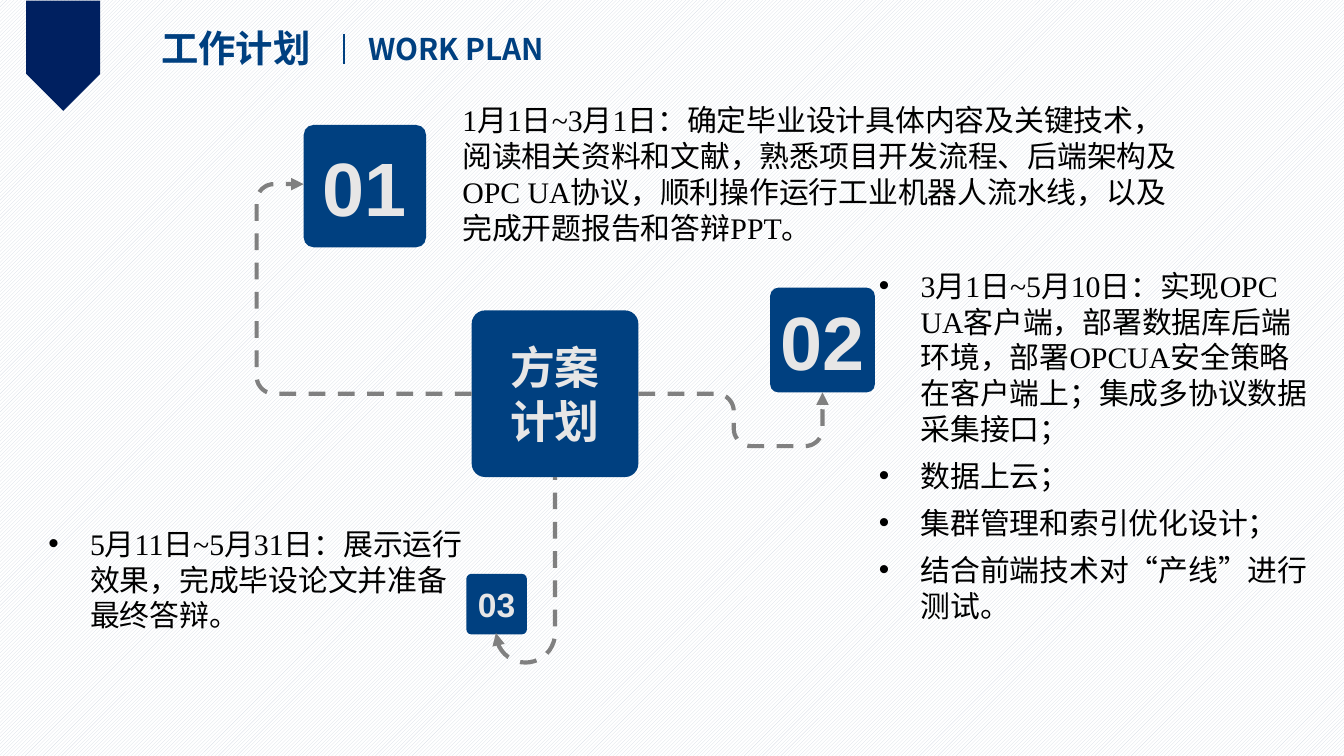
from math import cos, pi, sin
from lxml import etree
from pptx import Presentation
from pptx.dml.color import RGBColor
from pptx.enum.dml import MSO_LINE, MSO_PATTERN
from pptx.enum.shapes import MSO_CONNECTOR, MSO_SHAPE
from pptx.enum.text import MSO_ANCHOR, PP_ALIGN
from pptx.oxml.ns import qn
from pptx.util import Inches, Pt

DASH, HATCH = MSO_LINE.DASH, MSO_PATTERN.LIGHT_UPWARD_DIAGONAL
LINE = MSO_CONNECTOR.STRAIGHT
ROUND, FLAG = MSO_SHAPE.ROUNDED_RECTANGLE, MSO_SHAPE.PENTAGON
MIDDLE, TOP = MSO_ANCHOR.MIDDLE, MSO_ANCHOR.TOP
CENTER, LEFT = PP_ALIGN.CENTER, PP_ALIGN.LEFT

COLORS = {"navy": "002060", "blue": "004080", "gray": "808080", "pale": "E7E6E6",
          "black": "000000", "hatch": "D6DCE5", "white": "FFFFFF"}
SANS, SERIF, HAN = "Arial", "Times New Roman", "Noto Sans CJK SC"

TILES = [
    (3.51, 2.31, 1.24, 24, ["方案", "计划"]),
    (5.73, 2.14, 0.78, 40.5, ["02"]),
    (2.26, 0.93, 0.91, 40.5, ["01"]),
    (3.47, 4.27, 0.45, 18, ["03"]),
]
PATHS = [
    ("a:tailEnd", 0.13, [(3.51, 2.93), (1.91, 2.93), (1.91, 1.37), (2.26, 1.37)]),
    ("a:tailEnd", 0.13, [(4.75, 2.93), (5.46, 2.93), (5.46, 3.32), (6.12, 3.32), (6.12, 2.92)]),
    ("a:headEnd", 0.22, [(3.69, 4.71), (3.69, 4.93), (4.13, 4.93), (4.13, 3.55)]),
]
TITLES = [
    (1.1, 0.14, 1.31, 0.44, 20, "工作计划"),
    (2.64, 0.18, 1.62, 0.37, 16, "WORK PLAN"),
]
NOTES = [
    (3.37, 0.76, 5.49, 1.08, False, [
        "1月1日~3月1日：确定毕业设计具体内容及关键技术，阅读相关资料和文献，熟悉项目开发流程、"
        "后端架构及OPC UA协议，顺利操作运行工业机器人流水线，以及完成开题报告和答辩PPT。"]),
    (0.29, 3.91, 3.3, 0.81, True, [
        "5月11日~5月31日：展示运行效果，完成毕设论文并准备最终答辩。"]),
    (6.47, 1.99, 3.4, 2.68, True, [
        "3月1日~5月10日：实现OPC UA客户端，部署数据库后端环境，"
        "部署OPCUA安全策略在客户端上；集成多协议数据采集接口；",
        "数据上云；",
        "集群管理和索引优化设计；",
        "结合前端技术对“产线”进行测试。"]),
]


def rgb(name):
    return RGBColor.from_string(COLORS[name])


def write(shape, texts, size, font, color, bold=False, align=LEFT, anchor=TOP,
          inset=(0.07, 0), wrap=True, bullet=False, before=0):
    frame = shape.text_frame
    frame.word_wrap = wrap
    frame.vertical_anchor = anchor
    frame.margin_left = frame.margin_right = Inches(inset[0])
    frame.margin_top = frame.margin_bottom = Inches(inset[1])
    for i, text in enumerate(texts):
        para = frame.add_paragraph() if i else frame.paragraphs[0]
        para.alignment = align
        para.space_before = Pt(before)
        para.line_spacing = Pt(size * 1.2)
        if bullet:
            props = para._p.get_or_add_pPr()
            props.set("marL", str(Inches(0.31)))
            props.set("indent", str(-Inches(0.31)))
            etree.SubElement(props, qn("a:buFont")).set("typeface", SANS)
            etree.SubElement(props, qn("a:buChar")).set("char", "•")
        run = para.add_run()
        run.text = text
        run.font.size, run.font.bold, run.font.name = Pt(size), bold, font
        run.font.color.rgb = rgb(color)
        etree.SubElement(run._r.get_or_add_rPr(), qn("a:ea")).set("typeface", HAN)


def add_block(kind, box, color):
    shape = shapes.add_shape(kind, *map(Inches, box))
    shape.shadow.inherit = False
    shape.fill.solid()
    shape.fill.fore_color.rgb = rgb(color)
    shape.line.fill.background()
    return shape


def toward(start, end, dist):
    dx, dy = end[0] - start[0], end[1] - start[1]
    part = dist / (abs(dx) + abs(dy))
    return start[0] + dx * part, start[1] + dy * part


def soften(points, radius, steps=10):
    out = [points[0]]
    for prev, turn, after in zip(points, points[1:], points[2:]):
        a, b = toward(turn, prev, radius), toward(turn, after, radius)
        for i in range(steps + 1):
            t = pi / 2 * i / steps
            out.append(tuple(q + r - p + (p - r) * cos(t) + (p - q) * sin(t)
                             for p, q, r in zip(turn, a, b)))
    return out + [points[-1]]


def add_path(end, radius, points):
    dots = [(Inches(x), Inches(y)) for x, y in soften(points, radius)]
    pen = shapes.build_freeform(*dots[0])
    pen.add_line_segments(dots[1:], close=False)
    shape = pen.convert_to_shape()
    shape.shadow.inherit = False
    shape.fill.background()
    line = shape.line
    line.color.rgb, line.width, line.dash_style = rgb("gray"), Pt(2.25), DASH
    etree.SubElement(line._get_or_add_ln(), qn(end)).set("type", "triangle")


deck = Presentation()
deck.slide_width = Inches(10)
deck.slide_height = deck.slide_width * 9 // 16
slide = deck.slides.add_slide(deck.slide_layouts[6])
shapes = slide.shapes
back = slide.background.fill
back.patterned()
back.pattern = HATCH
back.fore_color.rgb, back.back_color.rgb = rgb("hatch"), rgb("white")

add_block(FLAG, (0.06, 0.14, 0.82, 0.55), "navy").rotation = 90

for x, y, side, size, texts in TILES:
    tile = add_block(ROUND, (x, y, side, side), "blue")
    tile.adjustments[0] = 0.08
    write(tile, texts, size, SANS, "pale", bold=True, align=CENTER,
          anchor=MIDDLE, inset=(0.02, 0.04))

for path in PATHS:
    add_path(*path)

for *box, size, text in TITLES:
    write(shapes.add_textbox(*map(Inches, box)), [text], size, HAN, "blue",
          bold=True, inset=(0.1, 0.05), wrap=False)

for *box, bullet, texts in NOTES:
    write(shapes.add_textbox(*map(Inches, box)), texts, 16, SERIF, "black",
          bullet=bullet, before=6)

bar = shapes.add_connector(LINE, *map(Inches, (2.56, 0.25, 2.56, 0.48)))
bar.line.color.rgb, bar.line.width = rgb("blue"), Pt(1.5)
etree.SubElement(bar._element.spPr, qn("a:effectLst"))

deck.save("out.pptx")
